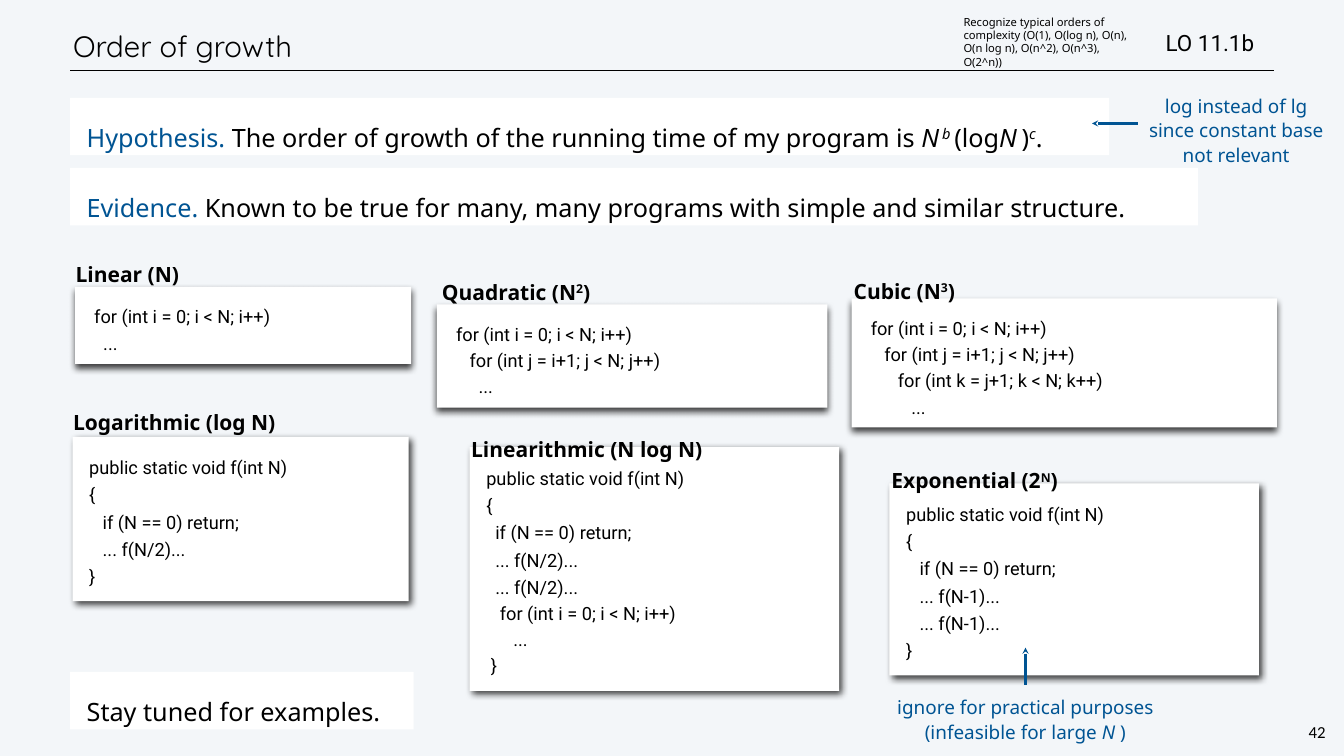
from pptx import Presentation
from pptx.dml.color import RGBColor
from pptx.enum.shapes import MSO_CONNECTOR, MSO_SHAPE
from pptx.enum.text import MSO_ANCHOR, PP_ALIGN
from pptx.oxml import parse_xml
from pptx.oxml.ns import nsdecls
from pptx.util import Inches, Pt

THEME = {
    "background": "F3F6F9", "panel": "FFFFFF", "text": "000000", "accent": "005493",
    "title_font": "Quicksand", "body_font": "Noto Sans", "code_font": "Roboto",
    "number_font": "Calibri",
    "title": 42, "statement": 36, "objective": 32, "label": 30, "note": 27,
    "code": 26, "number": 24, "detail": 16,
}
MARGIN = 1.39
SMALL_INSET = 0.06
CODE_INDENT = 0.09

# A line is a list of runs: (text, marks). Marks: i italic, s superscript, a accent;
# a third item is the letter spacing in points.
STATEMENTS = [  # top, width, runs
    (1.94, 20.62, [("Hypothesis. ", "a"),
                   ("The order of growth of the running time of my program is ", ""),
                   ("N", "i", 4), ("b ", "is"), ("(log", ""), ("N", "i", 6.8),
                   (")", ""), ("c", "is"), (".", "")]),
    (3.33, 22.38, [("Evidence. ", "a"),
                   ("Known to be true for many, many programs with simple and similar structure.", "")]),
    (13.33, 6.82, [("Stay tuned for examples.", "")]),
]

LOOPS = [  # box, label position, label runs, code
    ((1.49, 5.69, 6.67, 1.53), (1.44, 4.96), [("Linear (N)", "")],
     ["for (int i = 0; i < N; i++)", "  ..."]),
    ((8.67, 6.04, 7.75, 2.05), (8.71, 5.32), [("Quadratic (N", ""), ("2", "s"), (")", "")],
     ["for (int i = 0; i < N; i++)", "   for (int j = i+1; j < N; j++)", "     ..."]),
    ((16.9, 5.92, 8.44, 2.56), (16.88, 5.29), [("Cubic (N", ""), ("3", "s"), (")", "")],
     ["for (int i = 0; i < N; i++)", "   for (int j = i+1; j < N; j++)",
      "      for (int k = j+1; k < N; k++)", "         ..."]),
]
SIGNATURE = ["public static void f(int N)", "{"]
RECURSIONS = [  # box, label position, label runs, code, number of indented closing lines
    ((1.44, 8.67, 6.67, 3.26), (1.39, 7.89), [("Logarithmic (log N)", "")],
     SIGNATURE + ["   if (N == 0) return;", "   ... f(N/2)...", "}"], 0),
    ((9.32, 8.87, 7.33, 4.84), (9.29, 8.44), [("Linearithmic (N log N)", "")],
     SIGNATURE + ["  if (N == 0) return;", "  ... f(N/2)...", "  ... f(N/2)...",
                  "  for (int i = 0; i < N; i++)", "     ...", "}"], 3),
    ((17.65, 9.59, 7.33, 3.81), (17.63, 9.06), [("Exponential (2", ""), ("N", "s"), (")", "")],
     SIGNATURE + ["   if (N == 0) return;", "   ... f(N-1)...", "   ... f(N-1)...", "}"], 0),
]
NOTES = [  # box, lines, arrow tip, arrow tail
    ((22.25, 1.78, 4.56, 1.42),
     [[("log instead of lg", "")], [("since constant base", "")], [("not relevant", "")]],
     (21.67, 2.45), (22.58, 2.45)),
    ((17.6, 13.71, 5.49, 1.04),
     [[("ignore for practical purposes", "")],
      [("(infeasible for large ", ""), ("N ", "i"), (")", "")]],
     (20.35, 12.85), (20.35, 13.59)),
]
OBJECTIVE = "LO 11.1b"
DETAIL = ("Recognize typical orders of complexity (O(1), O(log n), O(n), "
          "O(n log n), O(n^2), O(n^3), O(2^n))")


def colour(name):
    return RGBColor.from_string(THEME[name])


def prepare_frame(shape, inset, anchor=MSO_ANCHOR.TOP, wrap=True):
    frame = shape.text_frame
    frame.word_wrap = wrap
    frame.vertical_anchor = anchor
    frame.margin_left = frame.margin_right = Inches(inset)
    frame.margin_top = frame.margin_bottom = Inches(inset)
    return frame


def write(frame, lines, size, font="body_font", ink="text", spacing=None,
          align=PP_ALIGN.LEFT, bold=False, indents=()):
    for index, runs in enumerate(lines):
        paragraph = frame.paragraphs[0] if index == 0 else frame.add_paragraph()
        paragraph.alignment = align
        paragraph.space_before = Pt(0)
        indented = index in indents
        if indented:
            paragraph._p.get_or_add_pPr().set("marL", str(Inches(CODE_INDENT)))
        if spacing:
            paragraph.line_spacing = 1.2 if indented else Pt(spacing)
        paragraph.font.size = Pt(THEME[size])
        paragraph.font.name = THEME[font]
        paragraph.font.bold = bold
        paragraph.font.color.rgb = colour(ink)
        for text, marks, *tracking in runs:
            run = paragraph.add_run()
            run.text = text
            if "i" in marks:
                run.font.italic = True
            if "a" in marks:
                run.font.color.rgb = colour("accent")
            if "s" in marks:
                run.font._element.set("baseline", "32000")
            if tracking:
                run.font._element.set("spc", str(round(tracking[0] * 100)))


def add_panel(slide, box, shadow_angle=None):
    panel = slide.shapes.add_shape(MSO_SHAPE.RECTANGLE, *map(Inches, box))
    panel.shadow.inherit = False
    panel.fill.solid()
    panel.fill.fore_color.rgb = colour("panel")
    panel.line.fill.background()
    if shadow_angle is not None:
        effects = panel._element.spPr.find("{*}effectLst")
        effects.append(parse_xml(
            f'<a:outerShdw {nsdecls("a")} blurRad="{Pt(10)}" dist="{Pt(6)}" '
            f'dir="{shadow_angle * 60000}" rotWithShape="0"><a:srgbClr val="{THEME["text"]}">'
            '<a:alpha val="75000"/></a:srgbClr></a:outerShdw>'))
    return panel


def add_text(slide, box, lines, size, inset=SMALL_INSET, anchor=MSO_ANCHOR.TOP,
             wrap=True, **style):
    text_box = slide.shapes.add_textbox(*map(Inches, box))
    write(prepare_frame(text_box, inset, anchor, wrap), lines, size, **style)


def add_line(slide, start, end, ink, width, arrow=False):
    line = slide.shapes.add_connector(MSO_CONNECTOR.STRAIGHT, *map(Inches, start + end))
    line.line.color.rgb = colour(ink)
    line.line.width = Pt(width)
    if arrow:
        line.line._get_or_add_ln().append(
            parse_xml(f'<a:headEnd {nsdecls("a")} type="stealth"/>'))
    line._element.spPr.append(parse_xml(f'<a:effectLst {nsdecls("a")}/>'))


def add_example(slide, box, label_position, label, code, inset, anchor, angle, indents):
    panel = add_panel(slide, box, angle)
    write(prepare_frame(panel, inset, anchor), [[(line, "")] for line in code],
          "code", font="code_font", spacing=39, indents=indents)
    add_text(slide, (*label_position, 4.83, 0.64), [label], "label",
             spacing=48, bold=True, wrap=False)


def main():
    presentation = Presentation()
    presentation.slide_width, presentation.slide_height = Inches(26.67), Inches(15)
    slide = presentation.slides.add_slide(presentation.slide_layouts[5])
    slide.background.fill.solid()
    slide.background.fill.fore_color.rgb = colour("background")

    add_line(slide, (MARGIN, 1.4), (25.28, 1.4), "text", 1)
    title = slide.shapes.title
    title.left, title.top, title.width, title.height = map(Inches, (MARGIN, 0.42, 22.62, 0.99))
    write(prepare_frame(title, SMALL_INSET, MSO_ANCHOR.MIDDLE), [[("Order of growth", "")]],
          "title", font="title_font", spacing=50)

    for top, width, runs in STATEMENTS:
        panel = add_panel(slide, (MARGIN, top, width, 1.14))
        write(prepare_frame(panel, 0.33), [runs], "statement", spacing=55)

    for box, position, label, code in LOOPS:
        add_example(slide, box, position, label, code, 0.29, MSO_ANCHOR.TOP, 90,
                    range(len(code)))
    for box, position, label, code, closing in RECURSIONS:
        add_example(slide, box, position, label, code, 0.33, MSO_ANCHOR.MIDDLE, 45,
                    range(len(code) - closing, len(code)))

    for box, lines, tip, tail in NOTES:
        add_text(slide, box, lines, "note", ink="accent", spacing=35, align=PP_ALIGN.CENTER)
        add_line(slide, tip, tail, "accent", 3, arrow=True)

    add_text(slide, (23.07, 0.51, 2.99, 0.65), [[(OBJECTIVE, "")]], "objective",
             font="code_font", anchor=MSO_ANCHOR.MIDDLE)
    add_text(slide, (19.06, 0.23, 3.39, 1.2), [[(DETAIL, "")]], "detail",
             anchor=MSO_ANCHOR.MIDDLE)
    add_text(slide, (25.92, 14.29, 0.43, 0.47), [[("42", "")]], "number", inset=0.04,
             font="number_font", spacing=28, align=PP_ALIGN.CENTER, wrap=False)
    presentation.save("out.pptx")


if __name__ == "__main__":
    main()
